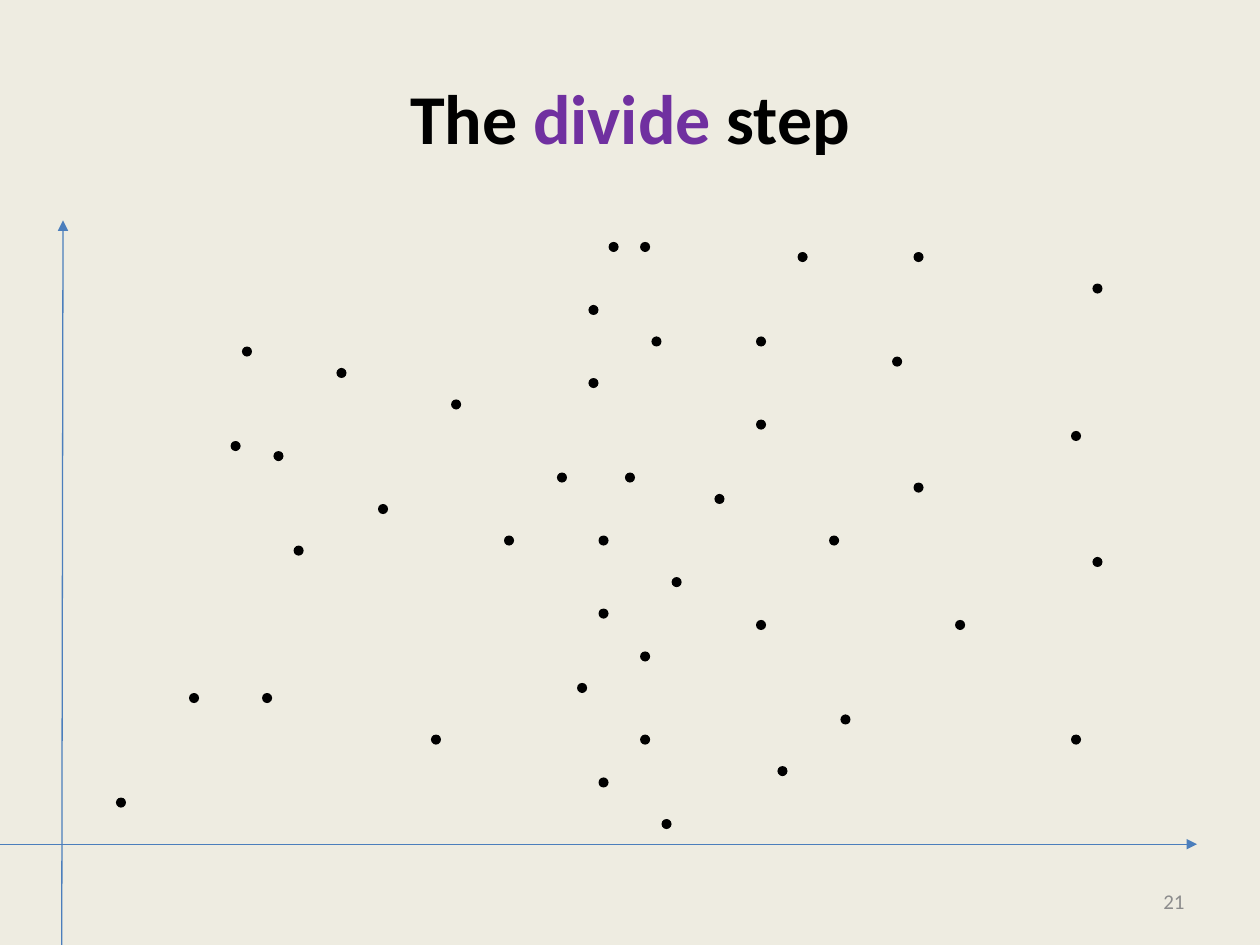
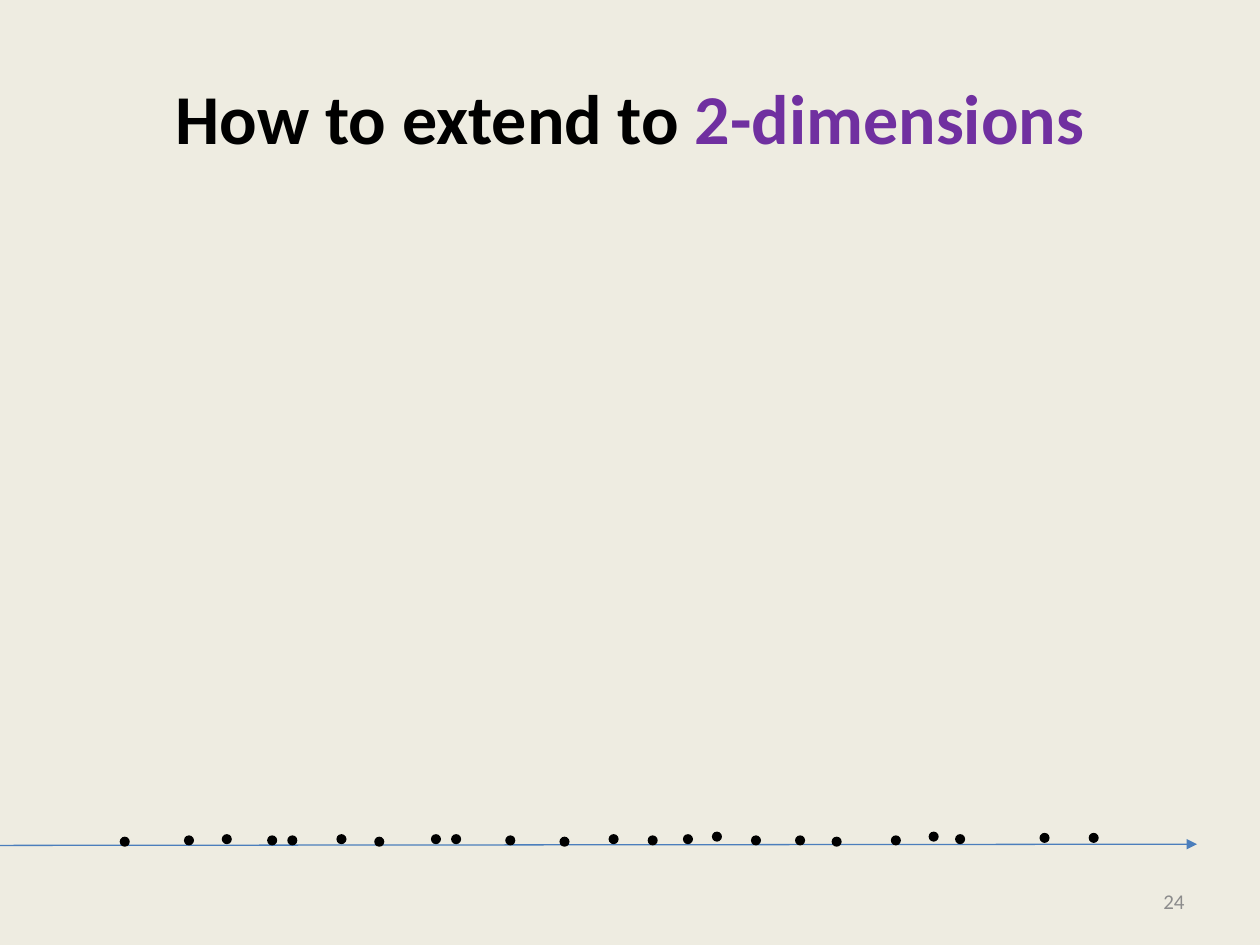
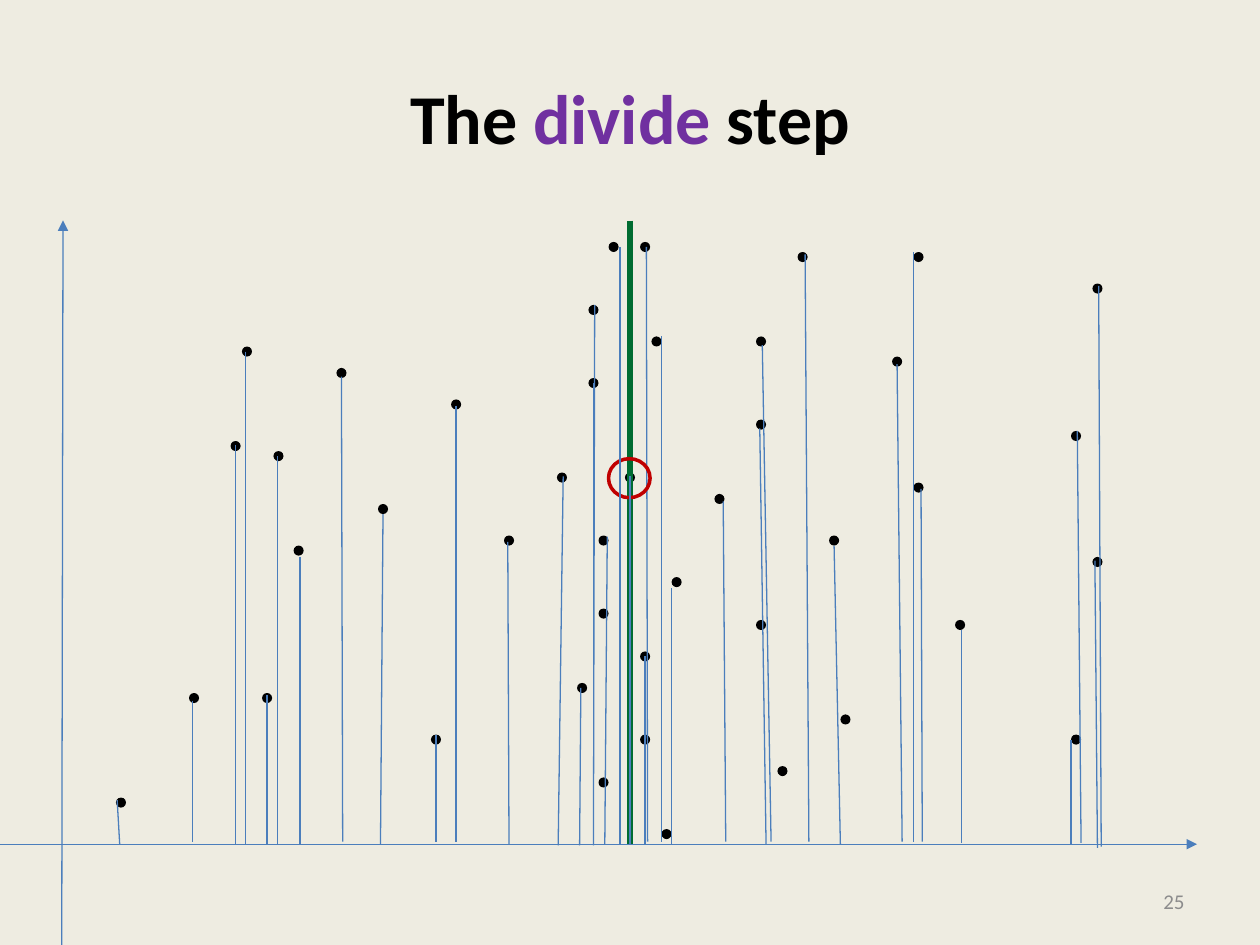
from lxml.etree import SubElement
from pptx import Presentation
from pptx.dml.color import RGBColor
from pptx.enum.shapes import MSO_CONNECTOR as CONNECTOR, MSO_SHAPE as SHAPE
from pptx.enum.text import MSO_ANCHOR as ANCHOR, PP_ALIGN as ALIGN
from pptx.oxml.ns import qn
from pptx.util import Inches, Pt

COLORS = {
    "background": "EEECE1",
    "text": "000000",
    "accent": "7030A0",
    "number": "8C8C8C",
    "axis": "4B7EBC",
    "point": "000000",
    "divider": "006C31",
    "median": "C00000",
}
FONT = "Calibri"
POINT_SIZE = 0.08
TITLE_ONLY = 5

DIVIDE_TITLE = [("The ", "text"), ("divide", "accent"), (" step", "text")]
EXTEND_TITLE = [("How to extend to ", "text"), ("2-dimensions", "accent")]

HORIZONTAL_AXIS = (-0.17, 6.7, 9.5, 6.7)
VERTICAL_AXIS = (0.49, 7.67, 0.5, 1.75)
NUMBER_LINE = (-0.25, 6.71, 9.5, 6.7)
DIVIDER = (5, 1.75, 5, 6.7)
MEDIAN_RING = (4.83, 3.64, 0.33, 0.31)

PLANE_POINTS = [
    (3.58, 3.17), (4, 4.25), (7.25, 3.83), (5.08, 5.17), (4.58, 5.42),
    (6.58, 4.25), (6.67, 5.67), (6, 2.67), (3.42, 5.83), (3, 4),
    (7.58, 4.92), (7.08, 2.83), (2.67, 2.92), (2.17, 3.58), (2.33, 4.33),
    (1.83, 3.5), (2.08, 5.5), (1.92, 2.75), (4.67, 2.42), (6, 3.33),
    (6, 4.92), (6.17, 6.08), (6.33, 2), (7.25, 2), (8.5, 3.42),
    (8.67, 4.42), (8.67, 2.25), (8.5, 5.83), (1.5, 5.5), (0.92, 6.33),
    (4.75, 4.25), (4.75, 6.17), (4.75, 4.83), (5.33, 4.58), (5.17, 2.67),
    (4.67, 3), (4.42, 3.75), (5.67, 3.92), (4.83, 1.92), (5.08, 1.92),
    (5.08, 5.83), (4.96, 3.75),
]
LOWEST_POINT = (5.25, 6.5)
LOWEST_POINT_DIVIDED = (5.25, 6.58)

LINE_POINTS = [
    (3.58, 6.62), (4.01, 6.63), (6.6, 6.64), (5.96, 6.63), (3.42, 6.62),
    (2.97, 6.64), (7.58, 6.62), (7.07, 6.63), (2.67, 6.62), (2.12, 6.63),
    (1.76, 6.62), (6.31, 6.63), (8.64, 6.61), (8.25, 6.61), (1.46, 6.63),
    (0.95, 6.64), (4.44, 6.64), (5.65, 6.6), (4.83, 6.62), (5.14, 6.63),
    (5.42, 6.62), (7.37, 6.6), (2.28, 6.63),
]

PROJECTIONS = [
    (1.95, 2.79, 1.95, 6.7), (2.2, 3.62, 2.2, 6.7), (2.38, 4.42, 2.38, 6.7),
    (3.04, 4.08, 3.02, 6.7), (2.71, 2.99, 2.72, 6.68), (3.62, 3.22, 3.62, 6.68),
    (4.03, 4.3, 4.04, 6.7), (4.47, 3.78, 4.43, 6.71), (3.46, 5.83, 3.46, 6.68),
    (4.61, 5.46, 4.6, 6.71), (6.39, 2.02, 6.42, 6.68), (8.72, 2.27, 8.74, 6.72),
    (7.63, 5, 7.63, 6.69), (8.5, 5.87, 8.5, 6.7), (8.55, 3.42, 8.58, 6.69),
    (8.69, 4.45, 8.71, 6.73), (5.33, 4.67, 5.33, 6.7), (7.25, 2, 7.25, 6.68),
    (7.31, 3.88, 7.32, 6.68), (6.62, 4.33, 6.67, 6.7), (7.12, 2.89, 7.16, 6.68),
    (6.03, 3.4, 6.08, 6.7), (6.05, 2.74, 6.12, 6.68), (4.71, 3.04, 4.71, 6.68),
    (4.72, 2.42, 4.71, 6.71), (5.74, 3.98, 5.76, 6.68), (5.13, 1.96, 5.14, 6.68),
    (5.25, 2.67, 5.25, 6.68), (1.53, 5.56, 1.53, 6.68), (2.12, 5.52, 2.12, 6.7),
    (0.93, 6.35, 0.95, 6.7), (1.87, 3.53, 1.87, 6.7),
]
PROJECTIONS_NEAR_MEDIAN = [
    (4.92, 1.96, 4.92, 6.71), (4.82, 4.26, 4.8, 6.7),
    (5, 3.78, 5, 6.71), (5.12, 5.21, 5.12, 6.71),
]


def color(name):
    return RGBColor.from_string(COLORS[name])


def add_run(paragraph, text, size, color_name, bold=False):
    run = paragraph.add_run()
    run.text = text
    run.font.name = FONT
    run.font.size = Pt(size)
    run.font.bold = bold
    run.font.color.rgb = color(color_name)


def set_title(slide, runs):
    title = slide.shapes.title
    title.left, title.top = Inches(0.5), Inches(0.3)
    title.width, title.height = Inches(9), Inches(1.25)
    title.text_frame.vertical_anchor = ANCHOR.MIDDLE
    paragraph = title.text_frame.paragraphs[0]
    paragraph.alignment = ALIGN.CENTER
    for text, color_name in runs:
        add_run(paragraph, text, 40, color_name, bold=True)


def add_page_number(slide, number):
    box = slide.shapes.add_textbox(Inches(7.17), Inches(6.95), Inches(2.33), Inches(0.4))
    box.text_frame.word_wrap = True
    box.text_frame.vertical_anchor = ANCHOR.MIDDLE
    paragraph = box.text_frame.paragraphs[0]
    paragraph.alignment = ALIGN.RIGHT
    add_run(paragraph, str(number), 12, "number")


def add_line(slide, ends, color_name="axis", width=0.75, arrow=False):
    line = slide.shapes.add_connector(CONNECTOR.STRAIGHT, *map(Inches, ends))
    line.line.color.rgb = color(color_name)
    line.line.width = Pt(width)
    if arrow:
        SubElement(line.line._get_or_add_ln(), qn("a:tailEnd"), type="triangle")
    SubElement(line._element.spPr, qn("a:effectLst"))


def add_ellipse(slide, left, top, width, height):
    ellipse = slide.shapes.add_shape(SHAPE.OVAL, *map(Inches, (left, top, width, height)))
    ellipse.shadow.inherit = False
    return ellipse


def add_points(slide, points):
    for left, top in points:
        point = add_ellipse(slide, left, top, POINT_SIZE, POINT_SIZE)
        point.fill.solid()
        point.fill.fore_color.rgb = color("point")
        point.line.fill.background()


def add_median_ring(slide):
    ring = add_ellipse(slide, *MEDIAN_RING)
    ring.fill.background()
    ring.line.color.rgb = color("median")
    ring.line.width = Pt(2)


def add_projections(slide, projections):
    for ends in projections:
        add_line(slide, ends)


def add_point_slide(presentation, number, title, axes, points):
    slide = presentation.slides.add_slide(presentation.slide_layouts[TITLE_ONLY])
    for axis in axes:
        add_line(slide, axis, arrow=True)
    set_title(slide, title)
    add_page_number(slide, number)
    add_points(slide, points)
    return slide


def main():
    presentation = Presentation()
    presentation.slide_width, presentation.slide_height = Inches(10), Inches(7.5)
    background = presentation.slide_master.background.fill
    background.solid()
    background.fore_color.rgb = color("background")

    plane_axes = [HORIZONTAL_AXIS, VERTICAL_AXIS]
    add_point_slide(presentation, 21, DIVIDE_TITLE, plane_axes,
                    PLANE_POINTS + [LOWEST_POINT])
    add_point_slide(presentation, 24, EXTEND_TITLE, [NUMBER_LINE], LINE_POINTS)
    divided = add_point_slide(presentation, 25, DIVIDE_TITLE, plane_axes,
                              PLANE_POINTS + [LOWEST_POINT_DIVIDED])
    add_projections(divided, PROJECTIONS)
    add_line(divided, DIVIDER, "divider", 3)
    add_median_ring(divided)
    add_projections(divided, PROJECTIONS_NEAR_MEDIAN)

    presentation.save("out.pptx")


if __name__ == "__main__":
    main()
